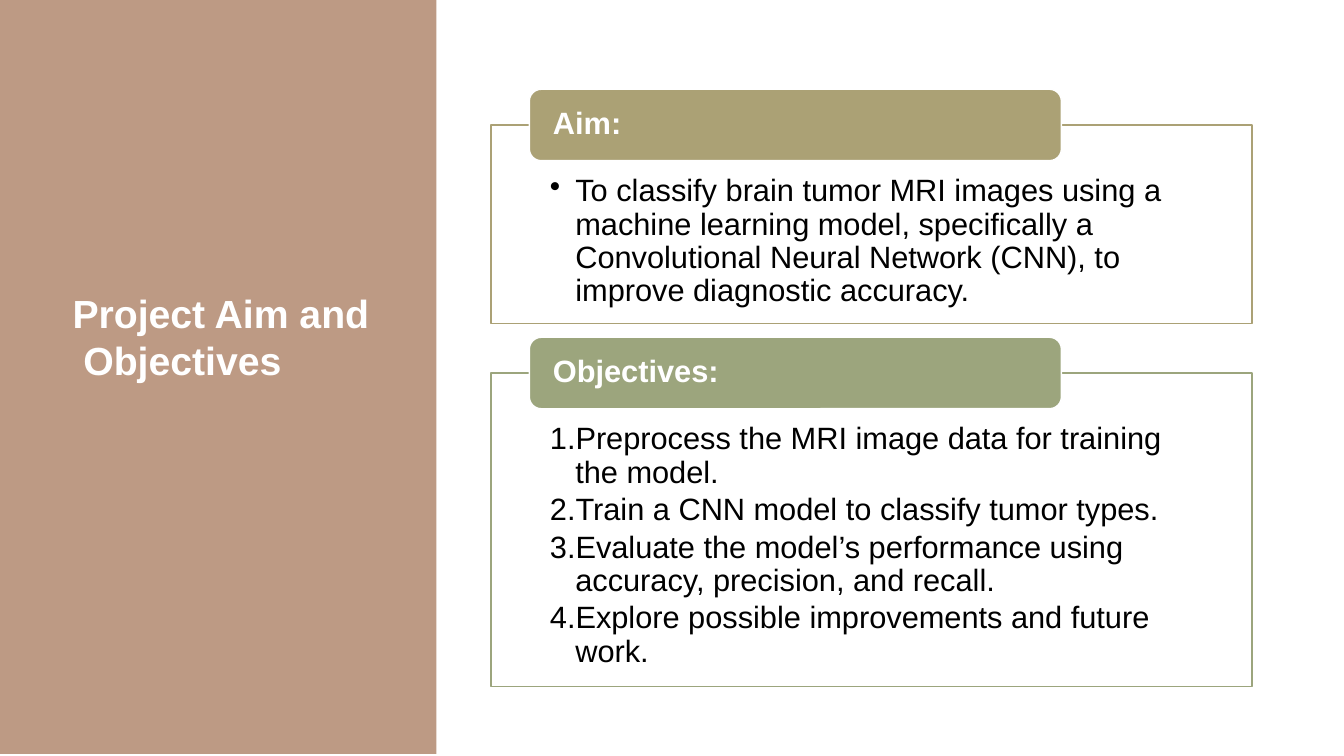
import pptx
import pptx.util
from pptx.dml.color import RGBColor
from pptx.enum.shapes import MSO_SHAPE
from pptx.enum.text import MSO_ANCHOR, PP_ALIGN
from pptx.oxml.ns import qn
from pptx.util import Cm, Pt

WHITE = RGBColor(0xFF, 0xFF, 0xFF)
BLACK = RGBColor(0x00, 0x00, 0x00)
CLAY = RGBColor(0xBD, 0x9A, 0x84)
SAND = RGBColor(0xAB, 0xA1, 0x75)
SAGE = RGBColor(0x9C, 0xA5, 0x7D)

TITLE = ["Project Aim and", " Objectives"]
# heading, colour, body height in cm, numbered, items
SECTIONS = [
    ("Aim:", SAND, 5.0, False, [
        "To classify brain tumor MRI images using a machine learning model, "
        "specifically a Convolutional Neural Network (CNN), to improve "
        "diagnostic accuracy.",
    ]),
    ("Objectives:", SAGE, 7.9, True, [
        "Preprocess the MRI image data for training the model.",
        "Train a CNN model to classify tumor types.",
        "Evaluate the model’s performance using accuracy, precision, and recall.",
        "Explore possible improvements and future work.",
    ]),
]
# right edge of the side panel, (x, y) in cm from top to bottom
WAVY_EDGE = [
    (11.34, 0), (11.31, 0.8), (11.32, 1.6), (11.34, 2.59), (11.32, 3.58),
    (11.36, 4.42), (11.31, 5.2), (11.34, 5.93), (11.37, 7.0), (11.31, 8.19),
    (11.28, 9.0), (11.31, 9.74), (11.36, 10.5), (11.36, 11.33), (11.33, 12.33),
    (11.33, 12.9), (11.3, 13.42), (11.31, 13.94), (11.36, 14.6), (11.36, 15.24),
    (11.33, 16.24), (11.36, 16.8), (11.34, 17.39), (11.35, 18.62),
    (11.34, 19.05),
]

FIRST_BODY_TOP, SECTION_GAP = 3.15, 1.25
BODY_LEFT, BODY_WIDTH = 12.37, 19.18
TAB_LEFT, TAB_WIDTH, TAB_HEIGHT = 13.34, 13.41, 1.8


def set_insets(frame, left, top, right, bottom):
    frame.margin_left, frame.margin_top = Cm(left), Cm(top)
    frame.margin_right, frame.margin_bottom = Cm(right), Cm(bottom)


def write(frame, lines, size, colour, bold=False):
    frame.word_wrap = True
    frame.text = "\n".join(lines)
    for paragraph in frame.paragraphs:
        paragraph.alignment = PP_ALIGN.LEFT
        font = paragraph.font
        font.name, font.size, font.bold = "Arial", Pt(size), bold
        font.color.rgb = colour


def add_box(slide, kind, left, top, width, height, fill, line):
    box = slide.shapes.add_shape(kind, Cm(left), Cm(top), Cm(width), Cm(height))
    box.shadow.inherit = False
    box.fill.solid()
    box.fill.fore_color.rgb = fill
    box.line.color.rgb = line
    box.line.width = Pt(1)
    return box.text_frame


def add_list_mark(paragraph, numbered):
    """Give the paragraph a hanging bullet or number."""
    properties = paragraph._p.get_or_add_pPr()
    properties.set("marL", str(Cm(0.64)))
    properties.set("indent", str(-Cm(0.64)))
    tag, key, value = (("a:buAutoNum", "type", "arabicPeriod") if numbered
                       else ("a:buChar", "char", "•"))
    mark = properties.makeelement(qn(tag), {key: value})
    properties.insert_element_before(mark, "a:tabLst", "a:defRPr", "a:extLst")


def add_side_panel(slide):
    outline = slide.shapes.build_freeform(0, 0, scale=Cm(1))
    outline.add_line_segments(WAVY_EDGE + [(0, 19.05)], close=True)
    panel = outline.convert_to_shape()
    panel.shadow.inherit = False
    panel.fill.solid()
    panel.fill.fore_color.rgb = CLAY
    panel.line.fill.background()


def add_section(slide, top, heading, colour, height, numbered, items):
    body = add_box(slide, MSO_SHAPE.RECTANGLE, BODY_LEFT, top, BODY_WIDTH,
                   height, WHITE, colour)
    body.vertical_anchor = MSO_ANCHOR.TOP
    set_insets(body, 1.49, 1.27, 1.49, 0.43)
    write(body, items, 22, BLACK)
    for paragraph in body.paragraphs:
        paragraph.line_spacing = 0.9
        paragraph.space_after = Pt(3)
        add_list_mark(paragraph, numbered)

    tab = add_box(slide, MSO_SHAPE.ROUNDED_RECTANGLE, TAB_LEFT,
                  top - TAB_HEIGHT / 2, TAB_WIDTH, TAB_HEIGHT, colour, WHITE)
    tab.vertical_anchor = MSO_ANCHOR.MIDDLE
    set_insets(tab, 0.51, 0, 0.51, 0)
    write(tab, [heading], 22, WHITE, bold=True)
    tab.paragraphs[0].line_spacing = 0.9


def main():
    deck = pptx.Presentation()
    deck.slide_width, deck.slide_height = Cm(33.87), Cm(19.05)
    slide = deck.slides.add_slide(deck.slide_layouts[6])

    add_side_panel(slide)
    top = FIRST_BODY_TOP
    for heading, colour, height, numbered, items in SECTIONS:
        add_section(slide, top, heading, colour, height, numbered, items)
        top += height + SECTION_GAP

    title = slide.shapes.add_textbox(Cm(1.58), Cm(7.17), Cm(16.94), Cm(2.65))
    write(title.text_frame, TITLE, 28, WHITE, bold=True)
    deck.save("out.pptx")


if __name__ == "__main__":
    main()
